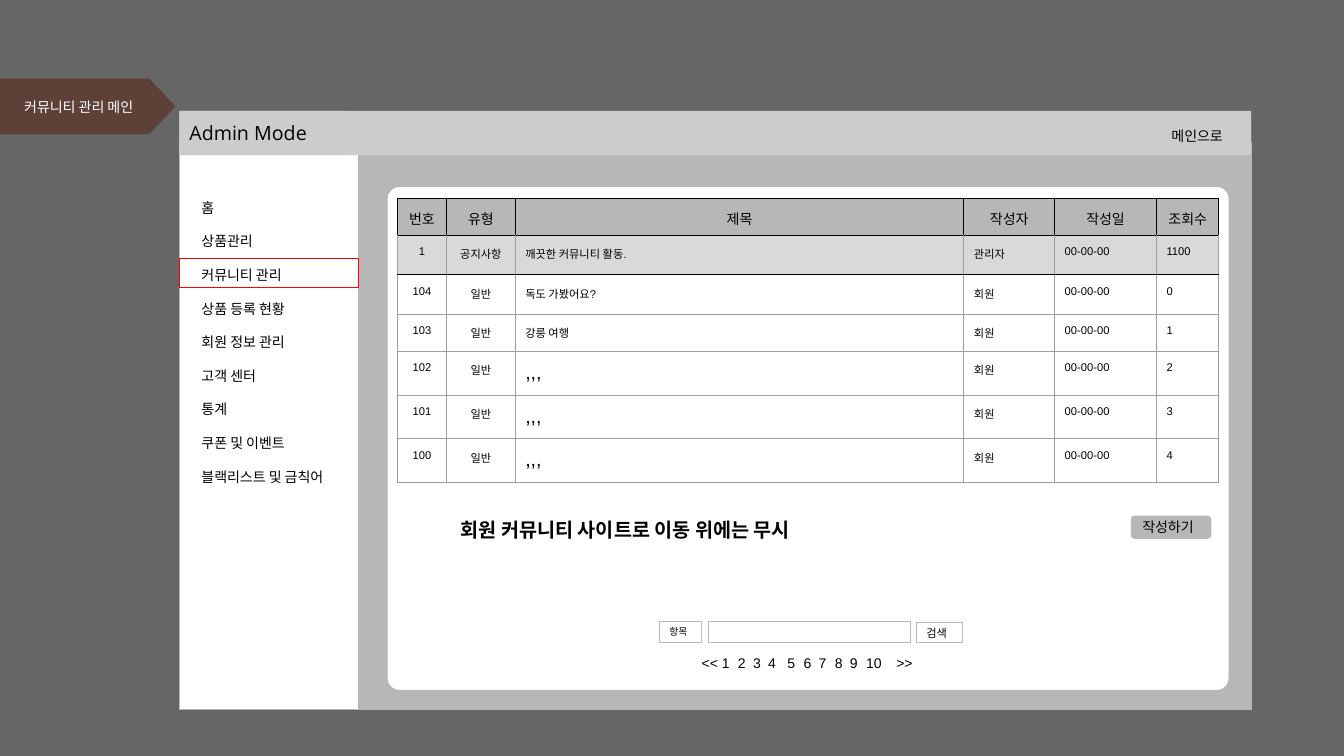
"""Build the community management screen of the admin mode."""
from dataclasses import dataclass

from lxml import etree
from pptx import Presentation
from pptx import util as u
from pptx.dml.color import RGBColor
from pptx.enum import shapes, text
from pptx.oxml import ns

BLACK = RGBColor(0x00, 0x00, 0x00)
WHITE = RGBColor(0xFF, 0xFF, 0xFF)
BACKDROP = RGBColor(0x66, 0x66, 0x66)
BROWN = RGBColor(0x5D, 0x40, 0x37)
GREY = RGBColor(0xB7, 0xB7, 0xB7)
BAR_GREY = RGBColor(0xCC, 0xCC, 0xCC)
NOTICE_GREY = RGBColor(0xD9, 0xD9, 0xD9)
GRID_GREY = RGBColor(0x9E, 0x9E, 0x9E)
RED = RGBColor(0xFF, 0x00, 0x00)

RECT = shapes.MSO_SHAPE.RECTANGLE
ROUND = shapes.MSO_SHAPE.ROUNDED_RECTANGLE
TAG = shapes.MSO_SHAPE.PENTAGON
TOP = text.MSO_ANCHOR.TOP
MIDDLE = text.MSO_ANCHOR.MIDDLE
LEFT = text.PP_ALIGN.LEFT
CENTER = text.PP_ALIGN.CENTER

MENU = ("홈", "상품관리", "커뮤니티 관리", "상품 등록 현황", "회원 정보 관리",
        "고객 센터", "통계", "쿠폰 및 이벤트", "블랙리스트 및 금칙어")
PAGES = ("<<", *map(str, range(1, 11)), ">>")
PAGE_TABS = (0.2, 0.36, 0.51, 0.66, 0.85, 1.01, 1.16, 1.32, 1.47, 1.63, 1.93)

COLUMNS = (0.49, 0.68, 4.45, 0.9, 1.01, 0.62)
ROW_HEIGHTS = (0.33, 0.39, 0.39, 0.37, 0.37, 0.37, 0.37)
HEADER = ("번호", "유형", "제목", "작성자", "작성일", "조회수")
TOPICS = ("독도 가봤어요?", "강릉 여행", ",,,", ",,,", ",,,")
POSTS = (
    ("1", "공지사항", "깨끗한 커뮤니티 활동.", "관리자", "00-00-00", "1100"),
    *((str(104 - i), "일반", topic, "회원", "00-00-00", str(i))
      for i, topic in enumerate(TOPICS)),
)


@dataclass(frozen=True)
class Panel:
    """A filled or outlined shape with optional text."""

    box: tuple[float, float, float, float]
    fill: RGBColor | None = None
    line: RGBColor | None = None
    kind: shapes.MSO_SHAPE = RECT
    adjust: float | None = None
    label: str = ""
    size: float = 10
    font: str = "Arial"
    anchor: text.MSO_ANCHOR = MIDDLE
    inset: float = 0.1
    tabs: tuple[float, ...] = ()


PANELS = (
    Panel((1.78, 1.41, 10.57, 5.63), GREY, GREY),
    Panel((1.78, 1.41, 10.63, 5.63), GREY, GREY),
    Panel((1.78, 1.41, 1.78, 5.63), WHITE, GREY),
    Panel((1.78, 2.56, 1.78, 0.29), line=RED),
    Panel((1.78, 1.1, 10.63, 0.44), BAR_GREY),
    Panel((1.78, 1.1, 1.66, 0.44), BAR_GREY, label="Admin Mode", size=14,
          font="Open Sans", anchor=TOP),
    Panel((11.52, 1.17, 0.89, 0.37), BAR_GREY, label="메인으로",
          font="Open Sans", anchor=TOP),
    Panel((3.84, 1.85, 8.35, 5), WHITE, GREY, ROUND, 0.024),
    Panel((6.75, 6.43, 2.53, 0.29), WHITE, WHITE, label="\t".join(PAGES),
          inset=0.21, tabs=PAGE_TABS),
    Panel((7.03, 6.17, 2, 0.2), WHITE, GREY),
    Panel((6.54, 6.17, 0.42, 0.2), WHITE, GREY, label="항목", size=7),
    Panel((9.09, 6.18, 0.46, 0.19), WHITE, GREY, label="검색", size=8),
    Panel((11.22, 5.12, 0.79, 0.22), GREY, GREY, ROUND, 0.167, "작성하기"),
)


def write(tf, content: str, *, size: float = 10, font: str = "Open Sans",
          color: RGBColor = BLACK, bold: bool = False, align=LEFT,
          anchor=TOP, inset: float = 0.1, line_pt: float | None = None,
          gap_pt: float = 0, tabs: tuple[float, ...] = ()) -> None:
    """Write one paragraph per line of content with a shared format."""
    tf.word_wrap = True
    tf.vertical_anchor = anchor
    tf.margin_left = u.Inches(inset)
    tf.margin_right = tf.margin_top = tf.margin_bottom = u.Inches(0.1)
    for i, row in enumerate(content.split("\n")):
        p = tf.paragraphs[0] if i == 0 else tf.add_paragraph()
        p.alignment = align
        p.space_before = u.Pt(gap_pt if i else 0)
        if line_pt:
            p.line_spacing = u.Pt(line_pt)
        if tabs:
            stops = etree.SubElement(p._p.get_or_add_pPr(), ns.qn("a:tabLst"))
            for tab in tabs:
                etree.SubElement(stops, ns.qn("a:tab"),
                                 pos=str(u.Inches(tab)), algn="l")
        r = p.add_run()
        r.text = row
        r.font.size = u.Pt(size)
        r.font.name = font
        r.font.bold = bold
        r.font.color.rgb = color


def place(sp, box: tuple[float, float, float, float]) -> None:
    """Move and size a shape in inches."""
    sp.left, sp.top, sp.width, sp.height = map(u.Inches, box)


def draw_panel(s, panel: Panel):
    """Draw a panel and return its shape."""
    sp = s.shapes.add_shape(panel.kind, *map(u.Inches, panel.box))
    sp.shadow.inherit = False
    if panel.adjust is not None:
        sp.adjustments[0] = panel.adjust
    if panel.fill is None:
        sp.fill.background()
    else:
        sp.fill.solid()
        sp.fill.fore_color.rgb = panel.fill
    if panel.line is None:
        sp.line.fill.background()
    else:
        sp.line.color.rgb = panel.line
        sp.line.width = u.Pt(0.75)
    if panel.label:
        write(sp.text_frame, panel.label, size=panel.size, font=panel.font,
              anchor=panel.anchor, inset=panel.inset, tabs=panel.tabs)
    return sp


def set_borders(cell, colors: dict[str, RGBColor]) -> None:
    """Give a cell its four borders."""
    props = cell._tc.get_or_add_tcPr()
    for i, (side, color) in enumerate(colors.items()):
        line = etree.Element(ns.qn(f"a:ln{side}"), w=str(u.Pt(0.75)))
        fill = etree.SubElement(line, ns.qn("a:solidFill"))
        etree.SubElement(fill, ns.qn("a:srgbClr"), val=str(color))
        props.insert(i, line)


def draw_posts(s) -> None:
    """Draw the table of posts."""
    rows = (HEADER, *POSTS)
    box = (3.94, 1.97, sum(COLUMNS), sum(ROW_HEIGHTS))
    table = s.shapes.add_table(len(rows), len(COLUMNS),
                               *map(u.Inches, box)).table
    table.first_row = table.horz_banding = False
    for column, width in zip(table.columns, COLUMNS):
        column.width = u.Inches(width)
    fills = {0: GREY, 1: NOTICE_GREY}
    for i, values in enumerate(rows):
        table.rows[i].height = u.Inches(ROW_HEIGHTS[i])
        side = BLACK if i == 0 else GRID_GREY
        above = BLACK if i <= 2 else GRID_GREY
        below = BLACK if i <= 1 else GRID_GREY
        for j, value in enumerate(values):
            cell = table.cell(i, j)
            if i in fills:
                cell.fill.solid()
                cell.fill.fore_color.rgb = fills[i]
            else:
                cell.fill.background()
            set_borders(cell, {"L": side, "R": side, "T": above, "B": below})
            size = 10 if i == 0 else 14 if value == ",,," else 8
            write(cell.text_frame, value, size=size, font="Arial",
                  align=CENTER if i == 0 or j < 2 else LEFT)
            cell.margin_left = cell.margin_right = u.Inches(0.1)
            cell.margin_top = cell.margin_bottom = u.Inches(0.1)


def add_text(s, box: tuple[float, float, float, float], content: str,
             **style) -> None:
    """Add a text box."""
    sp = s.shapes.add_textbox(*map(u.Inches, box))
    write(sp.text_frame, content, **style)


def main() -> None:
    """Build and save the slide."""
    prs = Presentation()
    prs.slide_width, prs.slide_height = u.Inches(13.33), u.Inches(7.5)
    s = prs.slides.add_slide(prs.slide_layouts[5])
    s.background.fill.solid()
    s.background.fill.fore_color.rgb = BACKDROP

    tag = draw_panel(s, Panel((0, 0.78, 1.74, 0.55), BROWN, kind=TAG,
                              adjust=0.47))
    title = s.shapes.title
    place(title, (0.14, 0.88, 1.47, 0.37))
    write(title.text_frame, "커뮤니티 관리 메인", color=WHITE)
    tag.element.addnext(title.element)

    for panel in PANELS:
        draw_panel(s, panel)
    add_text(s, (1.9, 1.85, 1.66, 3.06), "\n".join(MENU), line_pt=14,
             gap_pt=10)
    draw_posts(s)
    add_text(s, (4.47, 5.04, 6.44, 0.44),
             "회원 커뮤니티 사이트로 이동 위에는 무시", size=14, bold=True)
    prs.save("out.pptx")


if __name__ == "__main__":
    main()
